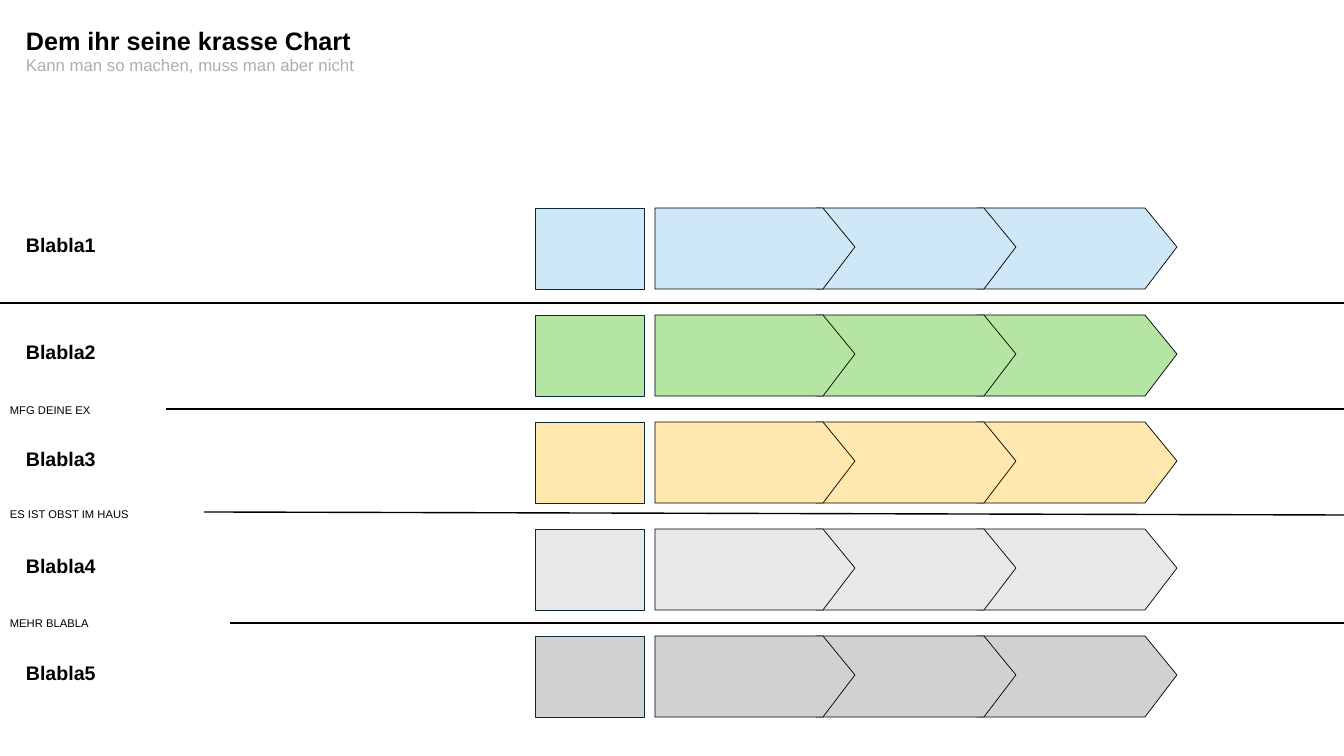
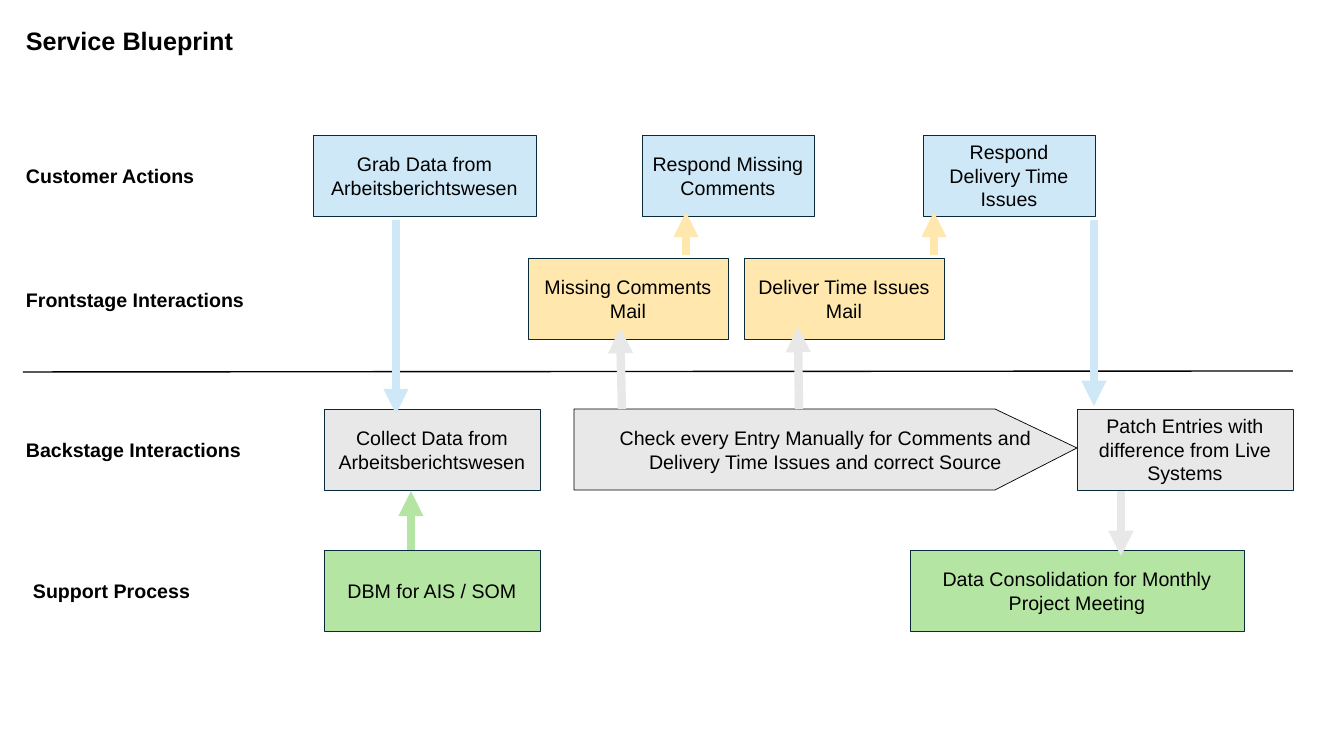
import lxml.etree
import pptx
import pptx.dml.color
import pptx.enum.shapes
import pptx.enum.text
import pptx.oxml.ns
import pptx.util

SLIDE_WIDTH, SLIDE_HEIGHT = 1344, 756
EMU_PER_PX = 12192000 / SLIDE_WIDTH
MARGIN = 16
BLOCK_HEIGHT = 81
TIP_DROP = 39

COLOURS = {
    "ink": "000000",
    "box line": "092A39",
    "muted": "AEAEAE",
    "blue": "CEE8F7",
    "green": "B4E5A2",
    "yellow": "FFE7AD",
    "light grey": "E8E8E8",
    "grey": "D1D1D1",
}

# Each style: line height in px, colour name, font attributes
STYLES = {
    "title": (40, "ink", {"size": 18, "bold": True}),
    "subtitle": (21, "muted", {"size": 12, "bold": False}),
    "row": (34, "ink", {"size": 14, "bold": True}),
    "caption": (24, "ink", {"size": 8, "bold": False}),
    "block": (24, "ink", {"size": 14, "bold": False}),
}


def emu(*lengths):
    return [round(length * EMU_PER_PX) for length in lengths]


def write(frame, lines, alignment):
    """Fill a text frame with one paragraph for each (text, style name)."""
    frame.word_wrap = True
    for index, (text, style) in enumerate(lines):
        paragraph = frame.add_paragraph() if index else frame.paragraphs[0]
        paragraph.alignment = alignment
        run = paragraph.add_run()
        run.text = text
        colour, values = STYLES[style][1:]
        run.font.color.rgb = pptx.dml.color.RGBColor.from_string(COLOURS[colour])
        for name, value in {**values, "name": "Arial"}.items():
            setattr(run.font, name, pptx.util.Pt(value) if name == "size" else value)


# Blocks: left, top, width, tip length (0 for a box), colour, lines of text
# Lines: x1, y1, x2, y2, colour; every coloured line is an arrow
# Texts: left, top, width, lines of text

# Slide 1: five rows of a box and three overlapping arrows
ROW_TOP, ROW_PITCH = 208, 107
ARROW_LEFT, ARROW_PITCH, ARROW_WIDTH = 655, 161, 200

chart = {
    "blocks": [],
    "lines": [
        (0, 303, SLIDE_WIDTH, 303, "ink"),
        (166, 409, SLIDE_WIDTH, 409, "ink"),
        (204, 512, SLIDE_WIDTH, 515, "ink"),
        (230, 623, SLIDE_WIDTH, 623, "ink"),
    ],
    "texts": [
        (MARGIN, 20, 789, [
            ("Dem ihr seine krasse Chart", "title"),
            ("Kann man so machen, muss man aber nicht", "subtitle"),
        ]),
        (0, 398, 230, [("MFG DEINE EX", "caption")]),
        (0, 502, 230, [("ES IST OBST IM HAUS", "caption")]),
        (0, 611, 230, [("MEHR BLABLA", "caption")]),
    ],
}
for row, colour in enumerate(["blue", "green", "yellow", "light grey", "grey"]):
    top = ROW_TOP + row * ROW_PITCH
    for step in (2, 1, 0):
        left = ARROW_LEFT + step * ARROW_PITCH
        chart["blocks"].append((left, top, ARROW_WIDTH, 32, colour, []))
    chart["blocks"].append((535, top, 109, 0, colour, []))
    chart["texts"].append((MARGIN, top + 20, 132, [(f"Blabla{row + 1}", "row")]))

# Slide 2: service blueprint
CUSTOMER, FRONTSTAGE, BACKSTAGE, SUPPORT = 135, 258, 409, 550

blueprint = {
    "blocks": [
        (313, CUSTOMER, 223, 0, "blue", ["Grab Data from Arbeitsberichtswesen"]),
        (642, CUSTOMER, 172, 0, "blue", ["Respond Missing Comments"]),
        (923, CUSTOMER, 172, 0, "blue", ["Respond Delivery Time Issues"]),
        (528, FRONTSTAGE, 200, 0, "yellow", ["Missing Comments Mail"]),
        (744, FRONTSTAGE, 200, 0, "yellow", ["Deliver Time Issues Mail"]),
        (324, BACKSTAGE, 216, 0, "light grey", ["Collect Data from Arbeitsberichtswesen"]),
        (574, BACKSTAGE, 503, 82, "light grey", [
            "Check every Entry Manually for Comments and",
            "Delivery Time Issues and correct Source",
        ]),
        (1077, BACKSTAGE, 216, 0, "light grey", ["Patch Entries with difference from Live Systems"]),
        (324, SUPPORT, 216, 0, "green", ["DBM for AIS / SOM"]),
        (910, SUPPORT, 334, 0, "green", ["Data Consolidation for Monthly Project Meeting"]),
    ],
    "lines": [
        (23, 372, 1293, 371, "ink"),
        (396, 220, 396, 414, "blue"),
        (1094, 220, 1094, 406, "blue"),
        (411, 550, 411, 491, "green"),
        (622, 409, 620, 328, "light grey"),
        (799, 409, 798, 327, "light grey"),
        (1121, 491, 1121, 556, "light grey"),
        (686, 255, 686, 212, "yellow"),
        (934, 255, 934, 212, "yellow"),
    ],
    "texts": [
        (MARGIN, 20, 789, [("Service Blueprint", "title")]),
        (MARGIN, 159, 230, [("Customer Actions", "row")]),
        (MARGIN, 283, 251, [("Frontstage Interactions", "row")]),
        (MARGIN, 433, 244, [("Backstage Interactions", "row")]),
        (23, 574, 196, [("Support Process", "row")]),
    ],
}

presentation = pptx.Presentation()
presentation.slide_width, presentation.slide_height = emu(SLIDE_WIDTH, SLIDE_HEIGHT)

for content in (chart, blueprint):
    slide = presentation.slides.add_slide(presentation.slide_layouts[6])

    for left, top, width, tip, colour, lines in content["blocks"]:
        if tip:
            right, bottom = left + width, top + BLOCK_HEIGHT
            builder = slide.shapes.build_freeform(left, top, scale=EMU_PER_PX)
            builder.add_line_segments([
                (right - tip, top),
                (right, top + TIP_DROP),
                (right - tip, bottom),
                (left, bottom),
            ], close=True)
            shape = builder.convert_to_shape()
        else:
            shape = slide.shapes.add_shape(
                pptx.enum.shapes.MSO_SHAPE.FLOWCHART_PROCESS,
                *emu(left, top, width, BLOCK_HEIGHT))
        shape.shadow.inherit = False
        shape.fill.solid()
        shape.fill.fore_color.rgb = pptx.dml.color.RGBColor.from_string(COLOURS[colour])
        outline = COLOURS["ink" if tip else "box line"]
        shape.line.color.rgb = pptx.dml.color.RGBColor.from_string(outline)
        shape.line.width = pptx.util.Pt(0.5)
        shape.text_frame.vertical_anchor = pptx.enum.text.MSO_ANCHOR.MIDDLE
        write(shape.text_frame, [(line, "block") for line in lines],
              pptx.enum.text.PP_ALIGN.CENTER)

    for x1, y1, x2, y2, colour in content["lines"]:
        connector = slide.shapes.add_connector(
            pptx.enum.shapes.MSO_CONNECTOR.STRAIGHT, *emu(x1, y1, x2, y2))
        is_arrow = colour != "ink"
        connector.line.color.rgb = pptx.dml.color.RGBColor.from_string(COLOURS[colour])
        connector.line.width = pptx.util.Pt(6 if is_arrow else 1)
        if is_arrow:
            lxml.etree.SubElement(connector.line._get_or_add_ln(),
                                  pptx.oxml.ns.qn("a:tailEnd"), type="triangle")
        lxml.etree.SubElement(connector._element.spPr, pptx.oxml.ns.qn("a:effectLst"))

    for left, top, width, lines in content["texts"]:
        height = sum(STYLES[style][0] for text, style in lines)
        textbox = slide.shapes.add_textbox(*emu(left, top, width, height))
        textbox.text_frame.auto_size = pptx.enum.text.MSO_AUTO_SIZE.SHAPE_TO_FIT_TEXT
        write(textbox.text_frame, lines, pptx.enum.text.PP_ALIGN.LEFT)

presentation.save("out.pptx")
